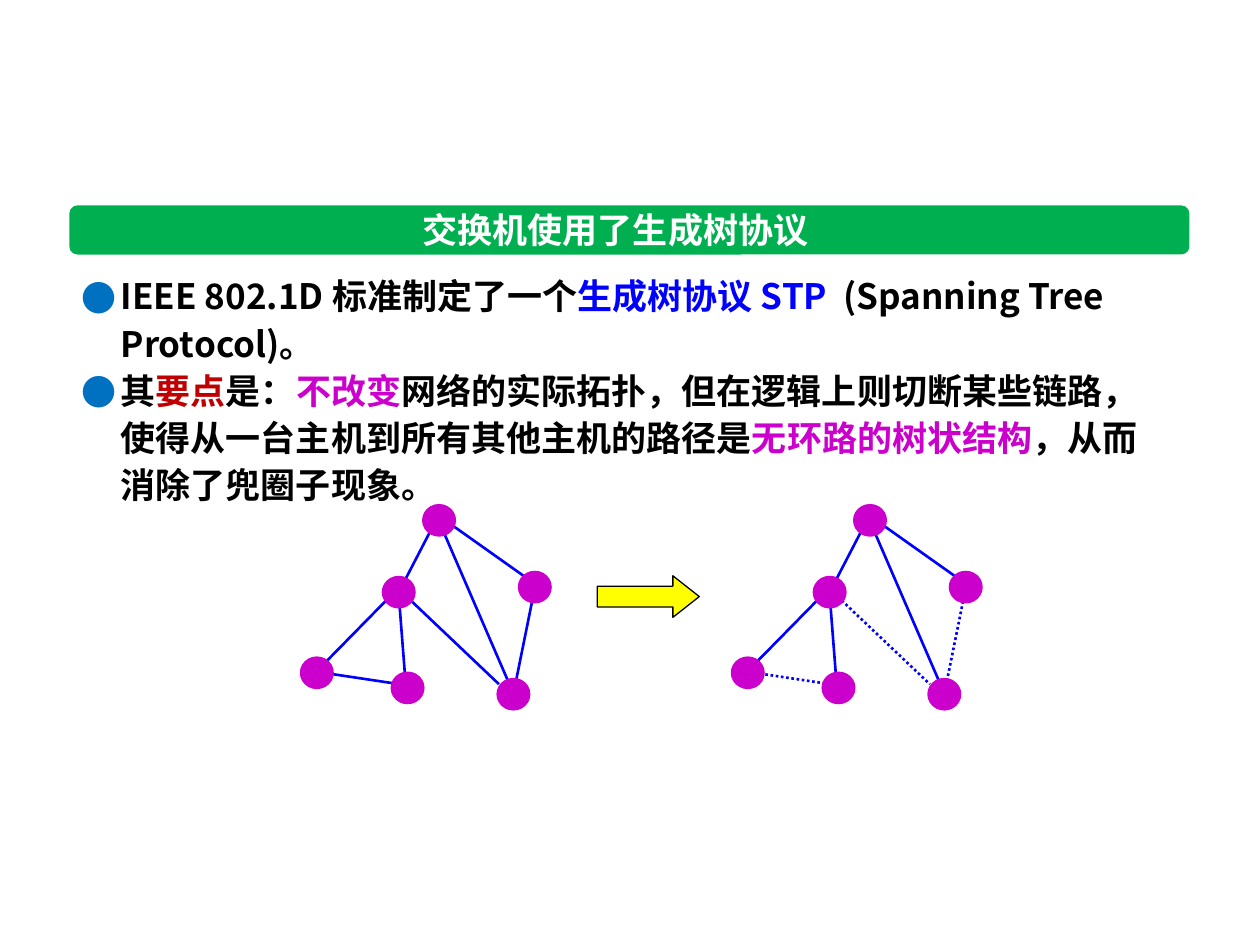
from lxml.etree import SubElement
from pptx import Presentation
from pptx.dml.color import RGBColor
from pptx.enum.dml import MSO_LINE
from pptx.enum.shapes import MSO_CONNECTOR, MSO_SHAPE
from pptx.enum.text import MSO_ANCHOR, PP_ALIGN
from pptx.oxml.ns import qn
from pptx.util import Inches, Pt

FONT = "Noto Sans CJK SC"
BLACK = RGBColor(0x00, 0x00, 0x00)
WHITE = RGBColor(0xFF, 0xFF, 0xFF)
BLUE = RGBColor(0x00, 0x00, 0xFF)
RED = RGBColor(0xC0, 0x00, 0x00)
MAGENTA = RGBColor(0xCC, 0x00, 0xCC)
GREEN = RGBColor(0x00, 0xB0, 0x50)
YELLOW = RGBColor(0xFF, 0xFF, 0x00)
BULLET_COLOR = "0070C0"

# Content
TITLE = "交换机使用了生成树协议"
POINTS = [
    [("IEEE 802.1D 标准制定了一个", BLACK),
     ("生成树协议 STP  ", BLUE),
     ("(Spanning Tree Protocol)。", BLACK)],
    [("其", BLACK), ("要点", RED), ("是：", BLACK), ("不改变", MAGENTA),
     ("网络的实际拓扑，但在逻辑上则切断某些链路，"
      "使得从一台主机到所有其他主机的路径是", BLACK),
     ("无环路的树状结构", MAGENTA),
     ("，从而消除了兜圈子现象。", BLACK)],
]

# Network: node corners, and links as (start, end, cut by the spanning tree)
NODE_SIZE = (0.27, 0.26)
NODES = [(3.35, 4), (4.11, 4.53), (3.94, 5.38),
         (2.38, 5.21), (3.1, 5.33), (3.03, 4.57)]
LINKS = [
    ((3.46, 4.13), (3.17, 4.69), False),
    ((3.52, 4.12), (4.24, 4.63), False),
    ((3.17, 4.68), (3.96, 5.43), True),
    ((4.24, 4.69), (4.08, 5.48), True),
    ((3.52, 4.22), (4.03, 5.4), False),
    ((2.57, 5.27), (3.1, 4.73), False),
    ((3.22, 5.43), (3.16, 4.66), False),
    ((3.17, 5.43), (2.57, 5.34), True),
]
# Horizontal shift of each network, and whether its cut links are dotted
NETWORKS = [(0, False), (3.42, True)]


def add_run(paragraph, text, color):
    run = paragraph.add_run()
    run.text = text
    values = {"name": FONT, "size": Pt(20), "bold": True}
    for name, value in values.items():
        setattr(run.font, name, value)
    run.font.color.rgb = color
    SubElement(run.font._element, qn("a:ea"), typeface=FONT)


def add_bullet(paragraph):
    properties = paragraph._p.get_or_add_pPr()
    properties.set("marL", str(Inches(0.31)))
    properties.set("indent", str(-Inches(0.31)))
    color = SubElement(properties, qn("a:buClr"))
    SubElement(color, qn("a:srgbClr"), val=BULLET_COLOR)
    SubElement(properties, qn("a:buFont"), typeface=FONT)
    SubElement(properties, qn("a:buChar"), char="●")


def add_filled(shapes, kind, box, color):
    shape = shapes.add_shape(kind, *map(Inches, box))
    shape.shadow.inherit = False
    shape.fill.solid()
    shape.fill.fore_color.rgb = color
    shape.line.fill.background()
    return shape


def add_link(shapes, start, end, dotted):
    link = shapes.add_connector(MSO_CONNECTOR.STRAIGHT,
                                *map(Inches, start + end))
    link.line.color.rgb = BLUE
    link.line.width = Pt(1.5)
    if dotted:
        link.line.dash_style = MSO_LINE.ROUND_DOT
    SubElement(link.element.spPr, qn("a:effectLst"))


def add_network(slide, shift, cut):
    shapes = slide.shapes.add_group_shape().shapes
    for (x1, y1), (x2, y2), redundant in LINKS:
        add_link(shapes, (x1 + shift, y1), (x2 + shift, y2),
                 cut and redundant)
    for x, y in NODES:
        add_filled(shapes, MSO_SHAPE.OVAL, (x + shift, y) + NODE_SIZE, MAGENTA)


def main():
    presentation = Presentation()
    presentation.slide_width = Inches(10)
    presentation.slide_height = Inches(7.5)
    slide = presentation.slides.add_slide(presentation.slide_layouts[5])

    # Explanation
    body = slide.shapes.add_textbox(*map(Inches, (0.55, 2.09, 8.85, 1.99)))
    frame = body.text_frame
    frame.word_wrap = True
    for index, runs in enumerate(POINTS):
        paragraph = frame.add_paragraph() if index else frame.paragraphs[0]
        paragraph.line_spacing = Pt(27)
        add_bullet(paragraph)
        for text, color in runs:
            add_run(paragraph, text, color)

    # Title on its green bar
    bar = add_filled(slide.shapes, MSO_SHAPE.ROUNDED_RECTANGLE,
                     (0.55, 1.63, 8.89, 0.39), GREEN)
    bar.adjustments[0] = 0.167
    title = slide.shapes.title
    bar.element.addnext(title.element)
    place = {"left": 3.24, "top": 1.6, "width": 3.29, "height": 0.44}
    for name, value in place.items():
        setattr(title, name, Inches(value))
    title.text_frame.word_wrap = False
    title.text_frame.vertical_anchor = MSO_ANCHOR.MIDDLE
    paragraph = title.text_frame.paragraphs[0]
    paragraph.alignment = PP_ALIGN.CENTER
    add_run(paragraph, TITLE, WHITE)

    # Arrow from the full network to its spanning tree
    arrow = add_filled(slide.shapes, MSO_SHAPE.RIGHT_ARROW,
                       (4.74, 4.57, 0.81, 0.33), YELLOW)
    arrow.adjustments[1] = 0.635
    arrow.line.color.rgb = BLACK
    arrow.line.width = Pt(0.75)

    for shift, cut in NETWORKS:
        add_network(slide, shift, cut)

    presentation.save("out.pptx")


if __name__ == "__main__":
    main()
